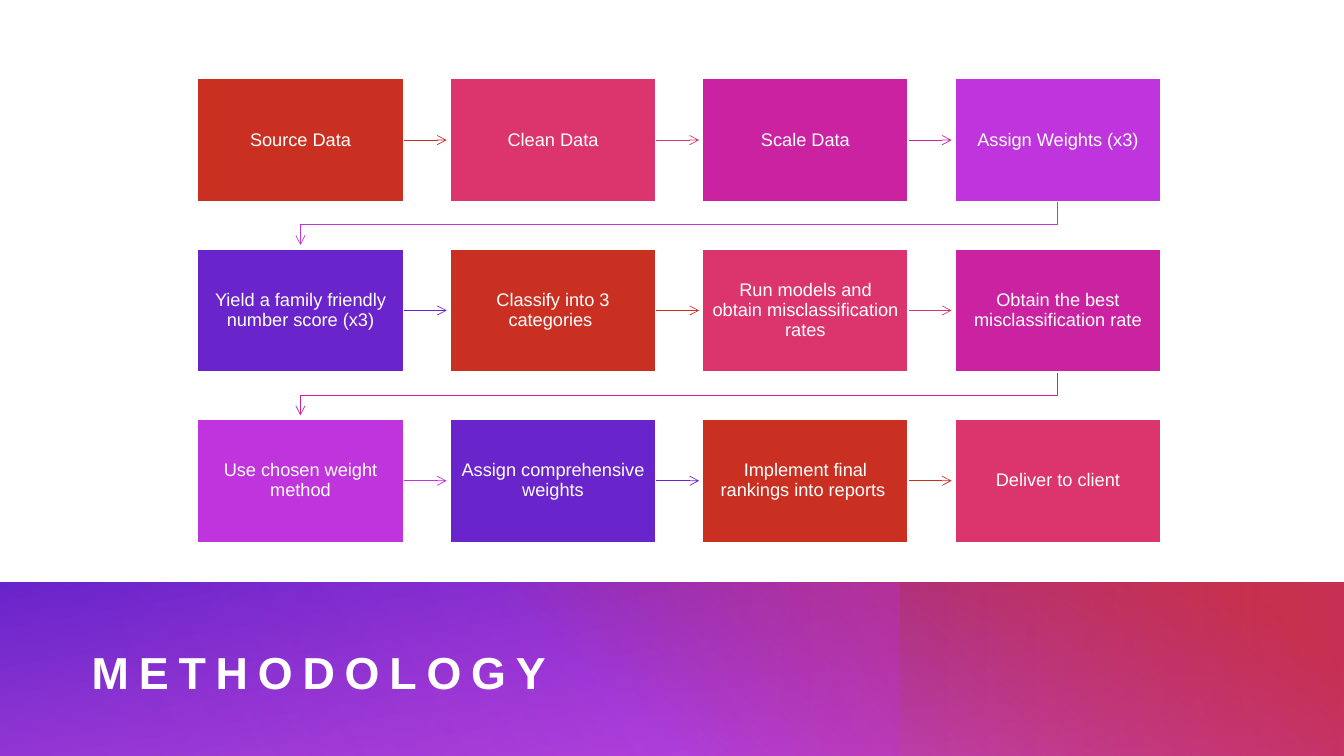
from lxml.etree import SubElement
from pptx import Presentation
from pptx.dml.color import RGBColor
from pptx.enum.shapes import MSO_CONNECTOR as CONNECTOR, MSO_SHAPE as SHAPE
from pptx.enum.text import MSO_ANCHOR as ANCHOR, MSO_AUTO_SIZE as AUTO_SIZE, PP_ALIGN as ALIGN
from pptx.oxml.ns import qn
from pptx.util import Inches, Pt

RED = RGBColor(0xCA, 0x30, 0x22)
ROSE = RGBColor(0xDC, 0x34, 0x6C)
MAGENTA = RGBColor(0xCA, 0x22, 0xA0)
ORCHID = RGBColor(0xBF, 0x34, 0xDC)
VIOLET = RGBColor(0x69, 0x25, 0xCB)
WHITE = RGBColor(0xFF, 0xFF, 0xFF)
STEP_COLORS = [RED, ROSE, MAGENTA, ORCHID, VIOLET]

STEPS = [
    "Source Data", "Clean Data", "Scale Data", "Assign Weights (x3)",
    "Yield a family friendly number score (x3)", "Classify into 3 categories ",
    "Run models and obtain misclassification rates",
    "Obtain the best misclassification rate",
    "Use chosen weight method", "Assign comprehensive weights",
    "Implement final rankings into reports ", "Deliver to client",
]
COLUMNS = 4
LEFT, TOP = 1.96, 0.78
BOX_WIDTH, BOX_HEIGHT = 2.04, 1.22
COLUMN_STEP, ROW_STEP = 2.504, 1.69
ARROW_LENGTH = 0.43


def write(frame, text, size, align, inset=0, bold=False, line_spacing=0.9, tracking=None):
    frame.word_wrap = True
    frame.auto_size = AUTO_SIZE.NONE
    frame.vertical_anchor = ANCHOR.MIDDLE
    frame.margin_left = frame.margin_right = Inches(inset)
    frame.margin_top = frame.margin_bottom = Inches(inset)
    para = frame.paragraphs[0]
    para.alignment = align
    para.line_spacing = line_spacing
    span = para.add_run()
    span.text = text
    span.font.name = "Arial"
    span.font.size = Pt(size)
    span.font.bold = bold
    span.font.color.rgb = WHITE
    if tracking:
        span.font._element.set("spc", str(tracking * 100))


def style_arrow(arrow, color):
    arrow.line.color.rgb = color
    arrow.line.width = Pt(0.5)
    SubElement(arrow.line._get_or_add_ln(), qn("a:tailEnd"), type="arrow")


deck = Presentation()
deck.slide_width, deck.slide_height = Inches(13.33), Inches(7.5)
page = deck.slides.add_slide(deck.slide_layouts[5])
shapes = page.shapes

# Bottom band: layered gradients, each stop as (position, color, opacity) in percent
BAND_LAYERS = [
    (-0.01, 13.35, 1.75, 0, 260, [(0, ORCHID, 88), (100, VIOLET, 100)]),
    (4.42, 8.93, 1.74, 0, 310, [(22, RED, 0), (91, RED, 100)]),
    (1.25, 7.67, 1.73, 180, 330, [(0, ORCHID, 30), (99, ORCHID, 0)]),
    (4.42, 8.93, 1.74, 180, 0, [(0, ORCHID, 26), (72, ORCHID, 0)]),
]
for left, width, height, rotation, angle, stops in BAND_LAYERS:
    layer = shapes.add_shape(SHAPE.RECTANGLE, Inches(left), Inches(5.78), Inches(width), Inches(height))
    layer.shadow.inherit = False
    layer.line.fill.background()
    layer.rotation = rotation
    layer.fill.gradient()
    layer.fill.gradient_angle = (360 - angle) % 360
    for stop, (position, color, opacity) in zip(layer.fill.gradient_stops, stops):
        stop.position = position / 100
        stop.color.rgb = color
    color_nodes = layer._element.spPr.iter(qn("a:srgbClr"))
    for node, (position, color, opacity) in zip(color_nodes, stops):
        SubElement(node, qn("a:alpha"), val=str(opacity * 1000))

# Title, brought in front of the band
title = shapes.title
title.left, title.top = Inches(0.91), Inches(6.18)
title.width, title.height = Inches(11.58), Inches(0.96)
write(title.text_frame, "METHODOLOGY", size=32, align=ALIGN.LEFT, bold=True, line_spacing=1, tracking=7)
shapes._spTree.append(title._element)

# Process steps with the arrow leading to the next one
for index, text in enumerate(STEPS):
    row, column = divmod(index, COLUMNS)
    color = STEP_COLORS[index % len(STEP_COLORS)]
    left, top = LEFT + column * COLUMN_STEP, TOP + row * ROW_STEP
    right, bottom = left + BOX_WIDTH, top + BOX_HEIGHT

    if column < COLUMNS - 1:
        middle = Inches(top + BOX_HEIGHT / 2)
        arrow = shapes.add_connector(
            CONNECTOR.STRAIGHT, Inches(right), middle, Inches(right + ARROW_LENGTH), middle)
        SubElement(arrow._element.spPr, qn("a:effectLst"))
        style_arrow(arrow, color)
    elif index < len(STEPS) - 1:
        start_x, end_x = Inches(left + BOX_WIDTH / 2), Inches(LEFT + BOX_WIDTH / 2)
        turn_y = Inches(bottom + 0.23)
        builder = shapes.build_freeform(start_x, Inches(bottom))
        builder.add_line_segments(
            [(start_x, turn_y), (end_x, turn_y), (end_x, Inches(bottom + ARROW_LENGTH))], close=False)
        arrow = builder.convert_to_shape()
        arrow.shadow.inherit = False
        arrow.fill.background()
        style_arrow(arrow, color)

    box = shapes.add_shape(
        SHAPE.RECTANGLE, Inches(left), Inches(top), Inches(BOX_WIDTH), Inches(BOX_HEIGHT))
    box.shadow.inherit = False
    box.fill.solid()
    box.fill.fore_color.rgb = color
    box.line.color.rgb = WHITE
    box.line.width = Pt(1)
    write(box.text_frame, text, size=13, align=ALIGN.CENTER, inset=0.1)

deck.save("out.pptx")
